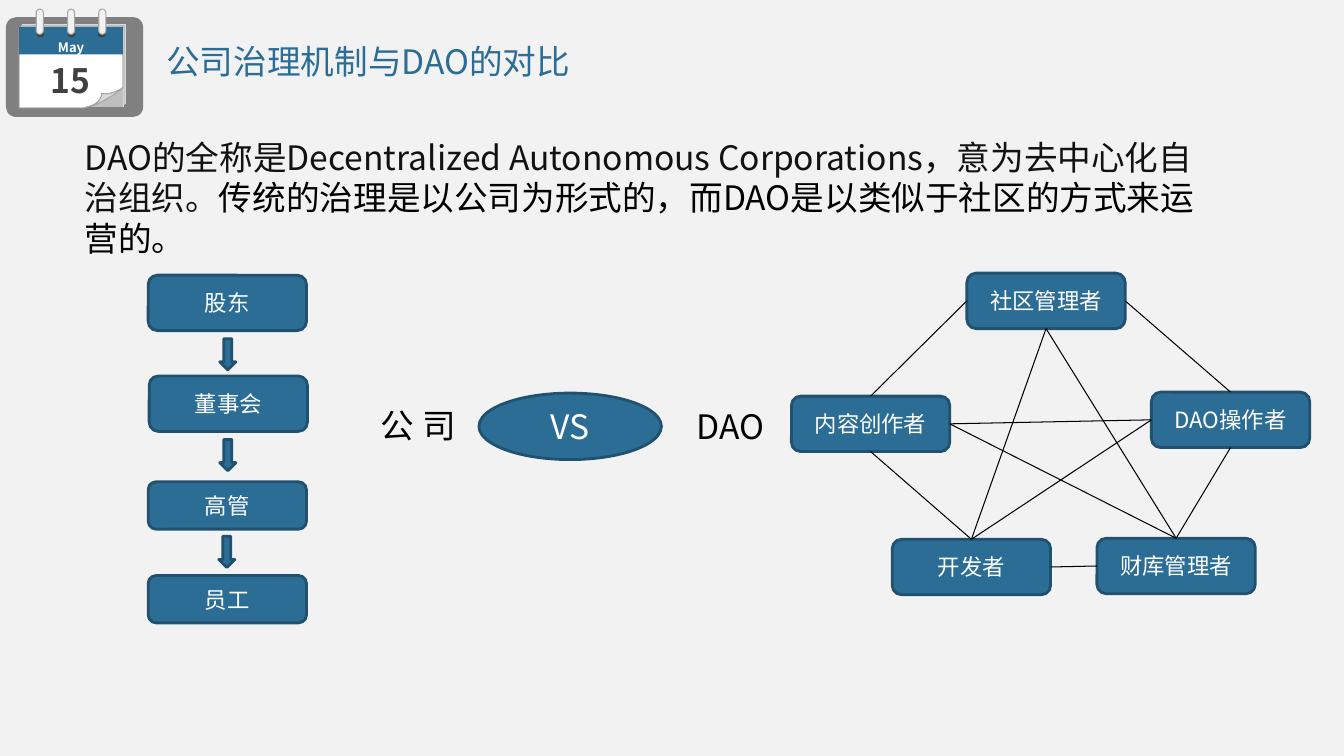
from lxml import etree
from pptx import Presentation
from pptx.dml.color import RGBColor
from pptx.enum import shapes, text
from pptx.oxml import ns
from pptx.util import Inches, Pt

BLUE = RGBColor(0x2B, 0x6D, 0x95)
NAVY = RGBColor(0x20, 0x51, 0x6E)
WHITE = RGBColor(0xFF, 0xFF, 0xFF)
PALE = RGBColor(0xF2, 0xF2, 0xF2)
LIGHT = RGBColor(0xD9, 0xD9, 0xD9)
SILVER = RGBColor(0xBF, 0xBF, 0xBF)
EDGE = RGBColor(0xA6, 0xA6, 0xA6)
GRAY = RGBColor(0x80, 0x80, 0x80)
DARK = RGBColor(0x40, 0x40, 0x40)
INK = RGBColor(0x12, 0x12, 0x12)
BLACK = RGBColor(0, 0, 0)
FONT = "Noto Sans CJK SC"
KIND = shapes.MSO_SHAPE
CENTER = text.PP_ALIGN.CENTER
TOP, LEFT, BOTTOM, RIGHT = range(4)


def style(par, size, color, bold=False, align=None):
    par.alignment = align
    font = par.font
    font.size, font.name, font.bold = Pt(size), FONT, bold
    font.color.rgb = color
    props = par._p.pPr.find(ns.qn("a:defRPr"))
    etree.SubElement(props, ns.qn("a:ea"), typeface=FONT)


def paint(shape, fill, line=None, width=0.75):
    shape.shadow.inherit = False
    shape.fill.solid()
    shape.fill.fore_color.rgb = fill
    if line is None:
        shape.line.fill.background()
    else:
        shape.line.color.rgb = line
        shape.line.width = Pt(width)
    return shape


def block(parent, kind, at, fill, line=None, width=0.75):
    shape = parent.add_shape(kind, *map(Inches, at))
    return paint(shape, fill, line, width)


def label(shape, words, size, color=WHITE, bold=False):
    frame = shape.text_frame
    frame.word_wrap = True
    frame.vertical_anchor = text.MSO_ANCHOR.MIDDLE
    frame.text = words
    style(frame.paragraphs[0], size, color, bold, CENTER)


def node(parent, words, x, y, high=0.55):
    box = block(parent, KIND.ROUNDED_RECTANGLE, (x, y, 1.57, high), BLUE, NAVY, 2)
    label(box, words, 16)
    return box


def note(parent, words, at, color=BLACK, bold=False, align=None):
    box = parent.add_textbox(*map(Inches, at))
    frame = box.text_frame
    frame.word_wrap = True
    frame.text = words
    style(frame.paragraphs[0], 24, color, bold, align)
    return box


def curve(start, seg, steps=8):
    """Points along a straight (2 values) or cubic (6 values) segment."""
    if len(seg) == 2:
        return [seg]
    knots = [start, seg[:2], seg[2:4], seg[4:]]
    points = []
    for i in range(1, steps + 1):
        t = i / steps
        parts = ((1 - t) ** 3, 3 * t * (1 - t) ** 2, 3 * t * t * (1 - t), t ** 3)
        points.append(tuple(sum(w * k[a] for w, k in zip(parts, knots))
                            for a in (0, 1)))
    return points


def outline(parent, start, segs, fill):
    points = [start]
    for seg in segs:
        points += curve(points[-1], seg)
    first, *rest = [(Inches(x), Inches(y)) for x, y in points]
    form = parent.build_freeform(*first)
    form.add_line_segments(rest, close=True)
    return paint(form.convert_to_shape(), fill, EDGE)


def link(parent, first, side, last, end):
    line = parent.add_connector(shapes.MSO_CONNECTOR.STRAIGHT, 0, 0, 0, 0)
    line.begin_connect(first, side)
    line.end_connect(last, end)
    line.line.color.rgb = BLACK
    line.line.width = Pt(0.75)
    etree.SubElement(line._element.spPr, ns.qn("a:effectLst"))


def date(slide):
    group = slide.shapes.add_group_shape().shapes
    # Backing and stacked pages
    back = block(group, KIND.ROUNDED_RECTANGLE, (0.06, 0.17, 1.36, 0.99), GRAY)
    back.adjustments[0] = 0.1
    for x, y, fill in ((0.22, 0.24, LIGHT), (0.21, 0.25, SILVER),
                       (0.2, 0.27, LIGHT), (0.19, 0.27, SILVER)):
        block(group, KIND.RECTANGLE, (x, y, 1.03, 0.79), fill)
    # Front page and its curled corner
    outline(group, (1.01, 0.93), [
        (1.01, 0.93, 1.02, 0.96, 0.96, 1.02), (0.93, 1.05, 0.88, 1.06, 0.83, 1.07),
        (0.77, 1.07), (0.19, 1.07), (0.19, 0.27), (1.22, 0.27), (1.22, 0.86),
        (1.22, 0.87, 1.2, 0.89, 1.19, 0.89), (1.08, 0.95, 1.01, 0.93, 1.01, 0.93),
    ], WHITE)
    outline(group, (1.22, 0.87), [
        (1.1, 0.95, 1.01, 0.93, 1.01, 0.93), (1.01, 0.93, 1.01, 0.96, 0.98, 1),
        (0.95, 1.04, 0.87, 1.06, 0.86, 1.06), (0.86, 1.06, 0.94, 1.06, 1.08, 0.97),
        (1.18, 0.91, 1.21, 0.88, 1.22, 0.87),
    ], LIGHT)
    # Month band
    band = block(group, KIND.RECTANGLE, (0.19, 0.27, 1.03, 0.27), BLUE)
    label(band, "May", 9.3, bold=True)
    frame = band.text_frame
    frame.margin_left = frame.margin_right = frame.margin_bottom = 0
    frame.margin_top = Inches(0.13)
    # Holes and rings
    for x in (0.36, 0.67, 0.97):
        block(group, KIND.OVAL, (x, 0.31, 0.08, 0.06), DARK)
    for x in (0.36, 0.67, 0.98):
        ring = block(group, KIND.ROUNDED_RECTANGLE, (x, 0.09, 0.07, 0.25), PALE, EDGE)
        ring.adjustments[0] = 0.5
    # Day
    note(group, "15", (0.2, 0.55, 0.99, 0.5), DARK, True, CENTER)


def head(slide):
    title = slide.shapes.title
    title.left, title.top = Inches(1.55), Inches(0.36)
    title.width, title.height = Inches(5.75), Inches(0.5)
    frame = title.text_frame
    frame.text = "公司治理机制与DAO的对比"
    frame.word_wrap = True
    frame.auto_size = text.MSO_AUTO_SIZE.NONE
    frame.vertical_anchor = text.MSO_ANCHOR.TOP
    style(frame.paragraphs[0], 24, BLUE, align=text.PP_ALIGN.LEFT)


def intro(tree):
    box = note(tree, "DAO的全称是Decentralized Autonomous Corporations，"
               "意为去中心化自治组织。", (0.74, 1.31, 11.39, 1.31), INK)
    rest = box.text_frame.paragraphs[0].add_run()
    rest.text = "传统的治理是以公司为形式的，而DAO是以类似于社区的方式来运营的。"
    rest.font.color.rgb = BLACK


def firm(tree):
    for words, x, y, high in (("股东", 1.47, 2.73, 0.55), ("董事会", 1.48, 3.73, 0.55),
                              ("高管", 1.47, 4.78, 0.47), ("员工", 1.47, 5.71, 0.47)):
        node(tree, words, x, y, high)
    for x, y in ((2.18, 3.36), (2.18, 4.36), (2.17, 5.32)):
        block(tree, KIND.DOWN_ARROW, (x, y, 0.16, 0.31), BLUE, NAVY, 2)


def versus(tree):
    oval = block(tree, KIND.OVAL, (4.75, 3.9, 1.81, 0.66), BLUE, NAVY, 2)
    label(oval, "VS", 24)
    note(tree, "公 司", (3.68, 3.97, 1.29, 0.5))
    note(tree, "DAO", (6.81, 3.98, 1.26, 0.5))


def web(tree):
    lead = node(tree, "社区管理者", 9.59, 2.71)
    ops = node(tree, "DAO操作者", 11.42, 3.89)
    maker = node(tree, "内容创作者", 7.85, 3.93)
    vault = node(tree, "财库管理者", 10.88, 5.34)
    coder = node(tree, "开发者", 8.85, 5.35)
    for ends in ((lead, LEFT, maker, TOP), (lead, RIGHT, ops, TOP),
                 (maker, BOTTOM, coder, TOP), (coder, RIGHT, vault, LEFT),
                 (ops, BOTTOM, vault, TOP), (maker, RIGHT, ops, LEFT),
                 (ops, LEFT, coder, TOP), (coder, TOP, lead, BOTTOM),
                 (lead, BOTTOM, vault, TOP), (vault, TOP, maker, RIGHT)):
        link(tree, *ends)


def main():
    deck = Presentation()
    deck.slide_width, deck.slide_height = Inches(13.33), Inches(7.5)
    slide = deck.slides.add_slide(deck.slide_layouts[5])
    slide.background.fill.solid()
    slide.background.fill.fore_color.rgb = PALE
    date(slide)
    head(slide)
    intro(slide.shapes)
    versus(slide.shapes)
    firm(slide.shapes)
    web(slide.shapes)
    deck.save("out.pptx")


if __name__ == "__main__":
    main()
